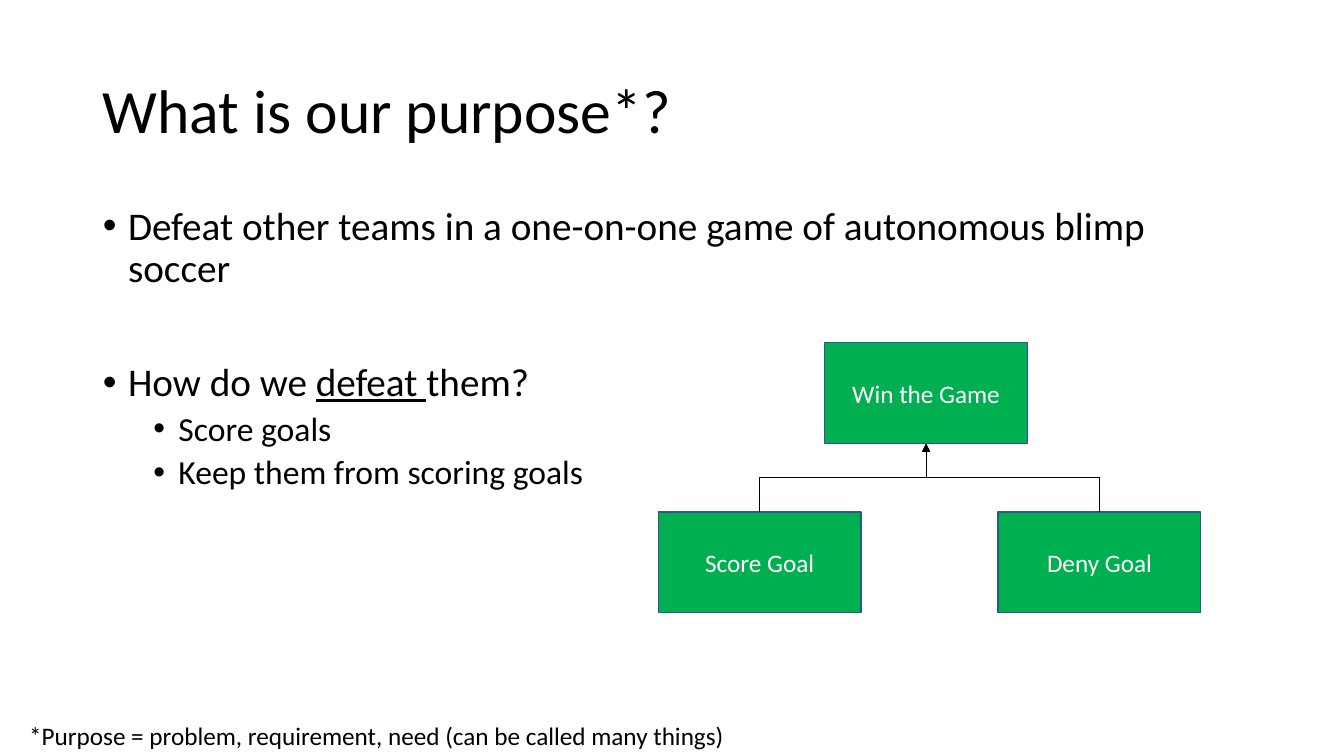
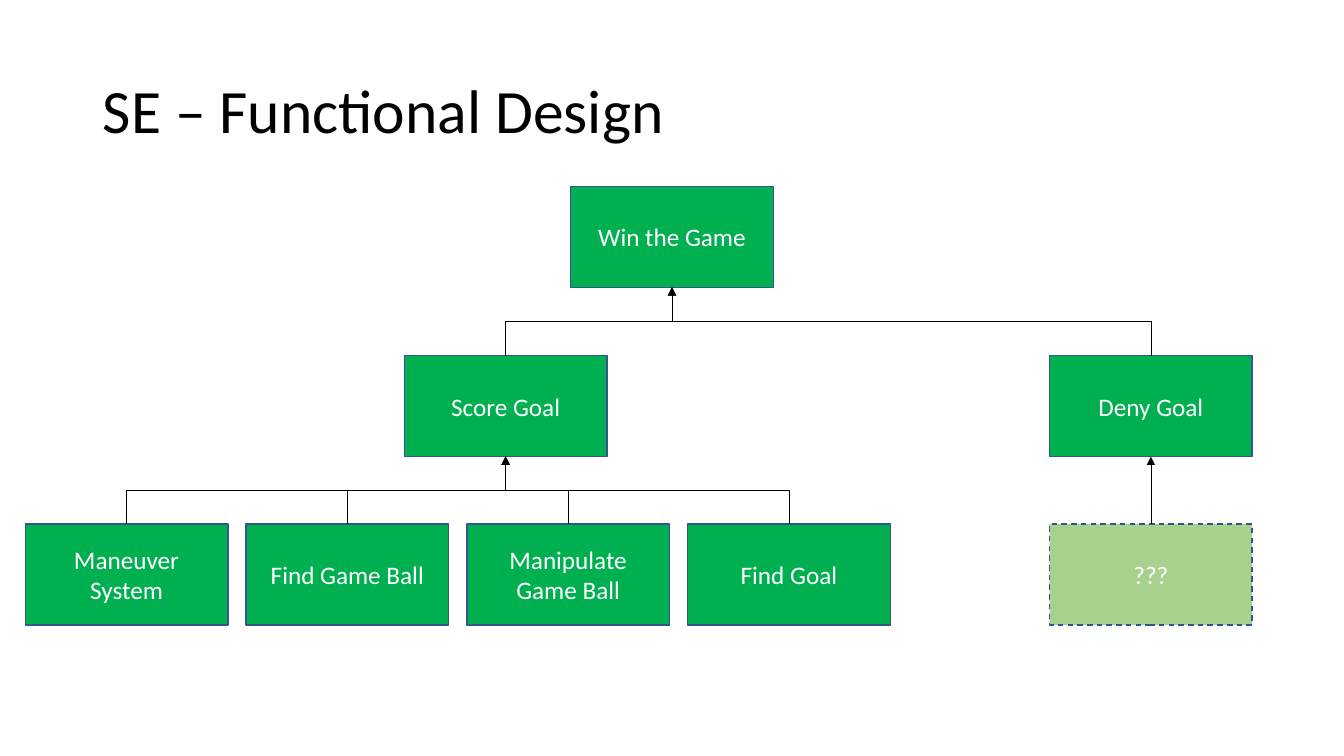
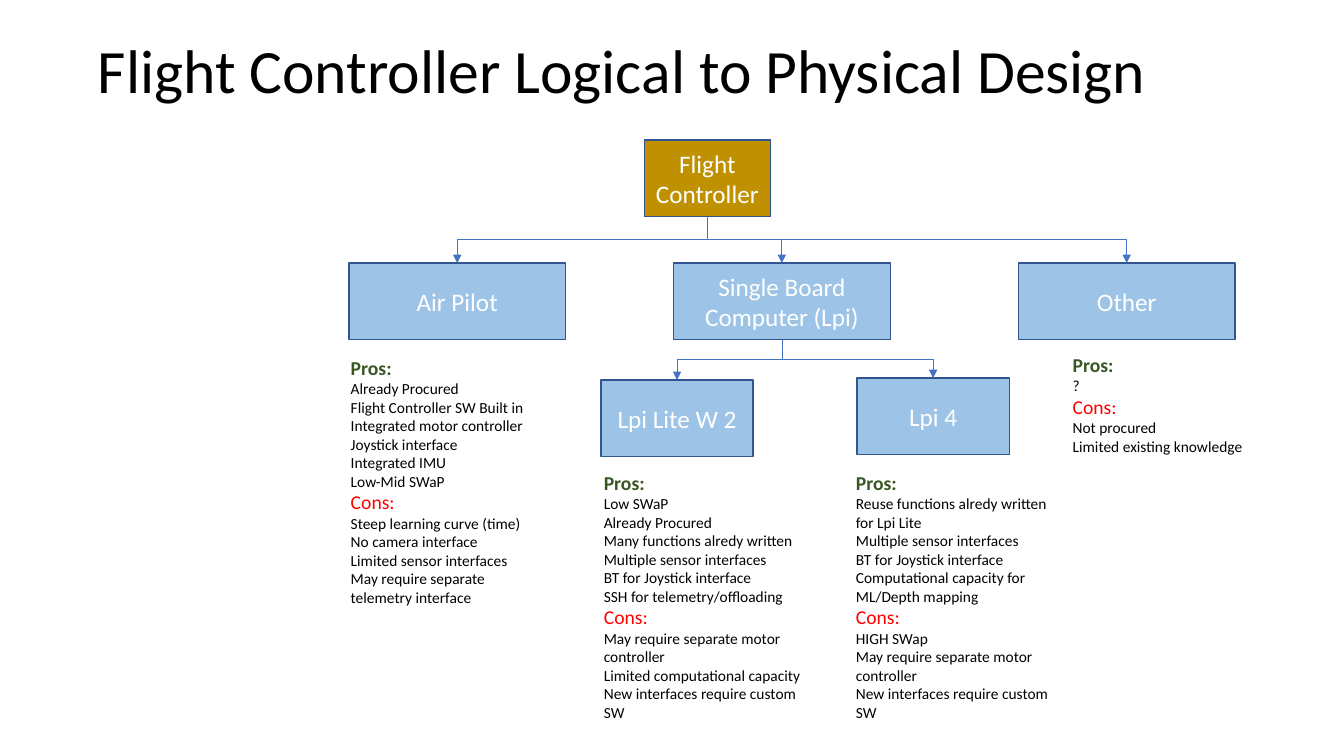
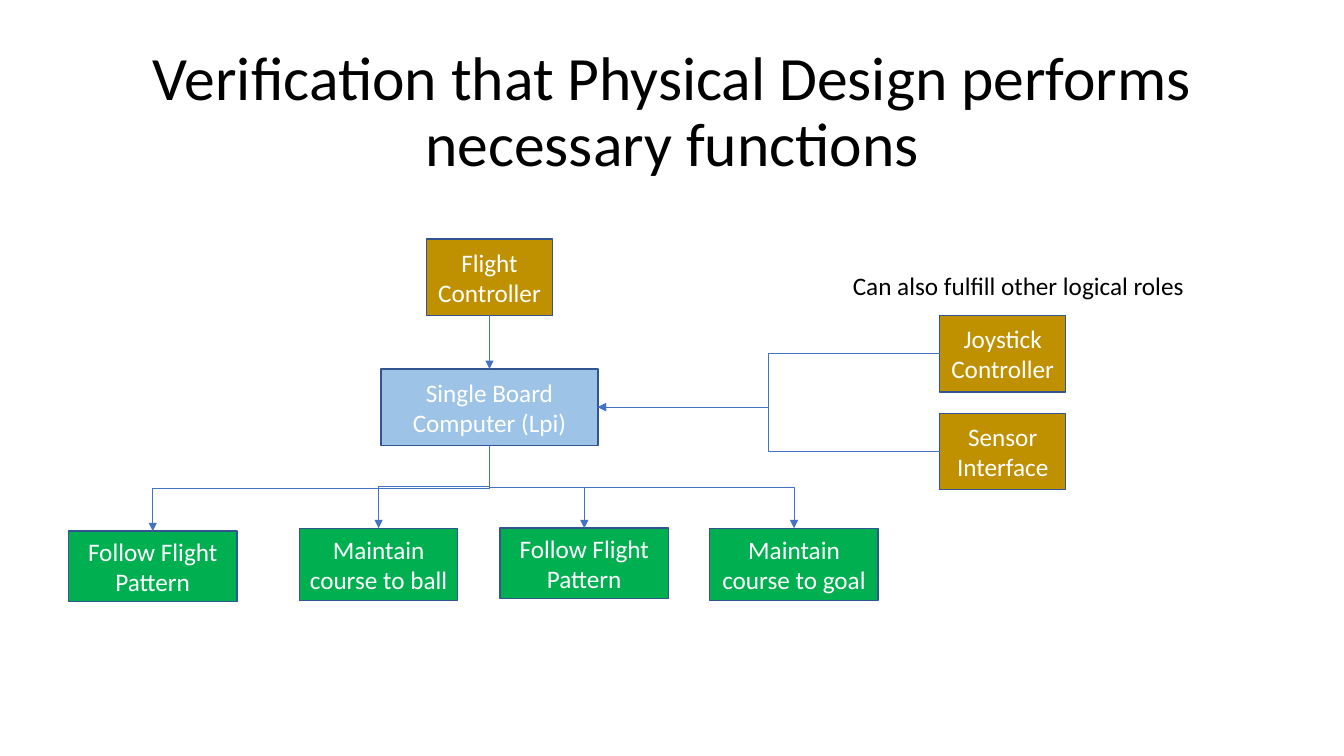
import pptx
import pptx.util
import pptx.dml.color
import pptx.enum.dml
import pptx.enum.shapes
import pptx.enum.text
import pptx.oxml
import pptx.oxml.ns

Inches = pptx.util.Inches
Pt = pptx.util.Pt
RGB = pptx.dml.color.RGBColor
Align = pptx.enum.text.PP_ALIGN
Anchor = pptx.enum.text.MSO_ANCHOR
Fit = pptx.enum.text.MSO_AUTO_SIZE
Kind = pptx.enum.shapes.MSO_SHAPE
Wire = pptx.enum.shapes.MSO_CONNECTOR
qn = pptx.oxml.ns.qn

# Shared style
FONT = "Calibri"
BLACK = RGB(0x00, 0x00, 0x00)
WHITE = RGB(0xFF, 0xFF, 0xFF)
GREEN = RGB(0x00, 0xB0, 0x50)
PALE = RGB(0xA9, 0xD1, 0x8E)
GOLD = RGB(0xBF, 0x90, 0x00)
SKY = RGB(0x9D, 0xC3, 0xE6)
EDGE = RGB(0x32, 0x54, 0x91)
BLUE = RGB(0x44, 0x72, 0xC4)
PRO = RGB(0x38, 0x57, 0x23)
CON = RGB(0xFF, 0x00, 0x00)
TOP, LEFT, BASE, RIGHT = range(4)  # connection sites of a rectangle

GOAL = (2.01, 1.0)   # box sizes in inches
ROLE = (1.25, 0.76)
PART = (2.15, 0.76)
BOARD = (1.51, 0.76)


def style(para, size, color=BLACK, bold=False):
    font = para.font
    font.name, font.size, font.bold = FONT, Pt(size), bold
    font.color.rgb = color


def place(shape, x, y, w, h):
    shape.left, shape.top = Inches(x), Inches(y)
    shape.width, shape.height = Inches(w), Inches(h)


def start(deck, text, x=0.92, y=0.4, align=Align.LEFT, layout=5):
    """Add a slide with its title."""
    slide = deck.slides.add_slide(deck.slide_layouts[layout])
    title = slide.shapes.title
    place(title, x, y, 11.5, 1.45)
    frame = title.text_frame
    frame.text = text
    frame.auto_size = Fit.NONE
    frame.vertical_anchor = Anchor.MIDDLE
    para = frame.paragraphs[0]
    para.alignment, para.line_spacing = align, 0.9
    style(para, 44)
    return slide


def box(slide, text, x, y, size, fill=GREEN, dash=False):
    shape = slide.shapes.add_shape(
        Kind.RECTANGLE, Inches(x), Inches(y), Inches(size[0]), Inches(size[1]))
    shape.shadow.inherit = False
    shape.fill.solid()
    shape.fill.fore_color.rgb = fill
    shape.line.color.rgb = EDGE
    shape.line.width = Pt(1)
    if dash:
        shape.line.dash_style = pptx.enum.dml.MSO_LINE.DASH
    frame = shape.text_frame
    frame.text = text
    frame.word_wrap = True
    frame.vertical_anchor = Anchor.MIDDLE
    para = frame.paragraphs[0]
    para.alignment = Align.CENTER
    style(para, 18, WHITE)
    return shape


def link(slide, head, out, tail, into, color=BLUE, kind=Wire.ELBOW):
    """Join two boxes by an arrow; elbows between top and base are turned."""
    line = slide.shapes.add_connector(kind, 0, 0, 0, 0)
    line.begin_connect(head, out)
    line.end_connect(tail, into)
    line.line.color.rgb = color
    line.line.width = Pt(0.5)
    props = line.element.spPr
    if kind == Wire.ELBOW and out in (TOP, BASE):
        dx, dy = line.end_x - line.begin_x, line.end_y - line.begin_y
        midx = (line.begin_x + line.end_x) // 2
        midy = (line.begin_y + line.end_y) // 2
        line.width, line.height = abs(dy), abs(dx)
        line.left = midx - abs(dy) // 2
        line.top = midy - abs(dx) // 2
        frame = props.find(qn("a:xfrm"))
        frame.set("rot", "5400000")
        frame.set("flipH", str(int(dy < 0)))
        frame.set("flipV", str(int(dx > 0)))
    stroke = props.find(qn("a:ln"))
    pptx.oxml.ns  # namespace helpers
    tip = stroke.makeelement(qn("a:tailEnd"), {"type": "triangle"})
    stroke.append(tip)
    props.append(props.makeelement(qn("a:effectLst"), {}))


def note(slide, text, x, y, w):
    """One line of plain text."""
    shape = slide.shapes.add_textbox(
        Inches(x), Inches(y), Inches(w), Inches(0.4))
    shape.text_frame.text = text
    shape.text_frame.word_wrap = False
    style(shape.text_frame.paragraphs[0], 18)


def bullet(frame, runs, level, before):
    para = frame.paragraphs[0]
    if para.runs:
        para = frame.add_paragraph()
    for text, under in runs:
        run = para.add_run()
        run.text = text
        if under:
            run.font.underline = True
    para.level, para.line_spacing = level, 0.9
    para.space_before = Pt(before)
    props = para._p.get_or_add_pPr()
    props.set("marL", str(Inches(0.25 + 0.5 * level)))
    props.set("indent", str(Inches(-0.25)))
    props.append(props.makeelement(qn("a:buChar"), {"char": "•"}))
    style(para, 28 - 4 * level)


def tree(slide, x, y, score, deny):
    """Root goal at x, y; score and deny are offsets of its two children."""
    root = box(slide, "Win the Game", x, y, GOAL)
    kids = [box(slide, text, x + dx, y + 1.68, GOAL)
            for text, dx in (("Score Goal", score), ("Deny Goal", deny))]
    for kid in kids:
        link(slide, kid, TOP, root, BASE, BLACK)
    return kids


def review(slide, x, y, h, pros, cons):
    """List of pros and cons."""
    shape = slide.shapes.add_textbox(
        Inches(x), Inches(y), Inches(2.15), Inches(h))
    frame = shape.text_frame
    frame.word_wrap = True
    rows = ["Pros:", *pros, "Cons:", *cons]
    frame.text = "\n".join(rows)
    looks = {"Pros:": (14, PRO, True), "Cons:": (14, CON)}
    for para, row in zip(frame.paragraphs, rows):
        style(para, *looks.get(row, (11,)))


def purpose(deck):
    slide = start(deck, "What is our purpose*?", layout=1)
    body = slide.placeholders[1]
    place(body, 0.92, 2, 11.5, 4.76)
    frame = body.text_frame
    frame.auto_size = Fit.NONE
    for runs, level, before in (
            ([("Defeat other teams in a one-on-one game of autonomous blimp "
               "soccer", False)], 0, 0),
            ([("How do we ", False), ("defeat ", True), ("them?", False)],
             0, 51),
            ([("Score goals", False)], 1, 5),
            ([("Keep them from scoring goals", False)], 1, 5)):
        bullet(frame, runs, level, before)
    tree(slide, 8.18, 3.4, -1.65, 1.72)
    note(slide, "*Purpose = problem, requirement, need "
         "(can be called many things)", 0.19, 7.1, 7.18)


def functions(deck):
    slide = start(deck, "SE – Functional Design")
    score, deny = tree(slide, 5.66, 1.85, -1.65, 4.75)
    names = ("Maneuver System", "Find Game Ball", "Manipulate Game Ball",
             "Find Goal")
    for i, name in enumerate(names):
        task = box(slide, name, 0.25 + 2.19 * i, 5.2, GOAL)
        link(slide, task, TOP, score, BASE, BLACK)
    open_task = box(slide, "???", 10.41, 5.2, GOAL, PALE, dash=True)
    link(slide, open_task, TOP, deny, BASE, BLACK)


def options(deck):
    slide = start(deck, "Flight Controller Logical to Physical Design",
                  0.87, 0)
    root = box(slide, "Flight Controller", 6.39, 1.39, ROLE, GOLD)
    parts = [box(slide, name, x, 2.61, PART, SKY) for name, x in (
        ("Air Pilot", 3.46), ("Single Board Computer (Lpi)", 6.68),
        ("Other", 10.1))]
    for part in parts:
        link(slide, root, BASE, part, TOP)
    for name, x, y in (("Lpi Lite W 2", 5.96, 3.77), ("Lpi 4", 8.5, 3.75)):
        board = box(slide, name, x, y, BOARD, SKY)
        link(slide, parts[1], BASE, board, TOP)

    # Pros and cons of each option
    review(slide, 3.38, 3.48, 2.79,
           ["Already Procured", "Flight Controller SW Built in",
            "Integrated motor controller", "Joystick interface",
            "Integrated IMU", "Low-Mid SWaP"],
           ["Steep learning curve (time)", "No camera interface",
            "Limited sensor interfaces",
            "May require separate telemetry interface"])
    motor = "May require separate motor controller"
    custom = "New interfaces require custom SW"
    shared = ["Multiple sensor interfaces", "BT for Joystick interface"]
    review(slide, 5.89, 4.62, 2.79,
           ["Low SWaP", "Already Procured", "Many functions alredy written",
            *shared, "SSH for telemetry/offloading"],
           [motor, "Limited computational capacity", custom])
    review(slide, 8.39, 4.62, 2.79,
           ["Reuse functions alredy written for Lpi Lite", *shared,
            "Computational capacity for ML/Depth mapping"],
           ["HIGH SWap", motor, custom])
    review(slide, 10.54, 3.45, 1.31, ["?"],
           ["Not procured", "Limited existing knowledge"])


def verify(deck):
    slide = start(deck, "Verification that Physical Design performs "
                  "necessary functions", align=Align.CENTER)
    board = box(slide, "Single Board Computer (Lpi)", 3.78, 3.66, PART, SKY)
    role = box(slide, "Flight Controller", 4.23, 2.37, ROLE, GOLD)
    link(slide, role, BASE, board, TOP, kind=Wire.STRAIGHT)

    # Functions fulfilled by the board
    for name, x, y, w, h in (
            ("Follow Flight Pattern", 0.68, 5.27, 1.67, 0.7),
            ("Maintain course to ball", 2.97, 5.24, 1.57, 0.72),
            ("Follow Flight Pattern", 4.96, 5.24, 1.67, 0.7),
            ("Maintain course to goal", 7.04, 5.24, 1.67, 0.72)):
        task = box(slide, name, x, y, (w, h))
        link(slide, board, BASE, task, TOP)

    # Other logical roles
    for name, y in (("Sensor Interface", 4.1), ("Joystick Controller", 3.13)):
        other = box(slide, name, 9.32, y, ROLE, GOLD)
        link(slide, other, LEFT, board, RIGHT)
    note(slide, "Can also fulfill other logical roles", 8.36, 2.63, 3.52)


def main():
    deck = pptx.Presentation()
    deck.slide_width, deck.slide_height = Inches(13.33), Inches(7.5)
    for build in (purpose, functions, options, verify):
        build(deck)
    deck.save("out.pptx")


if __name__ == "__main__":
    main()
